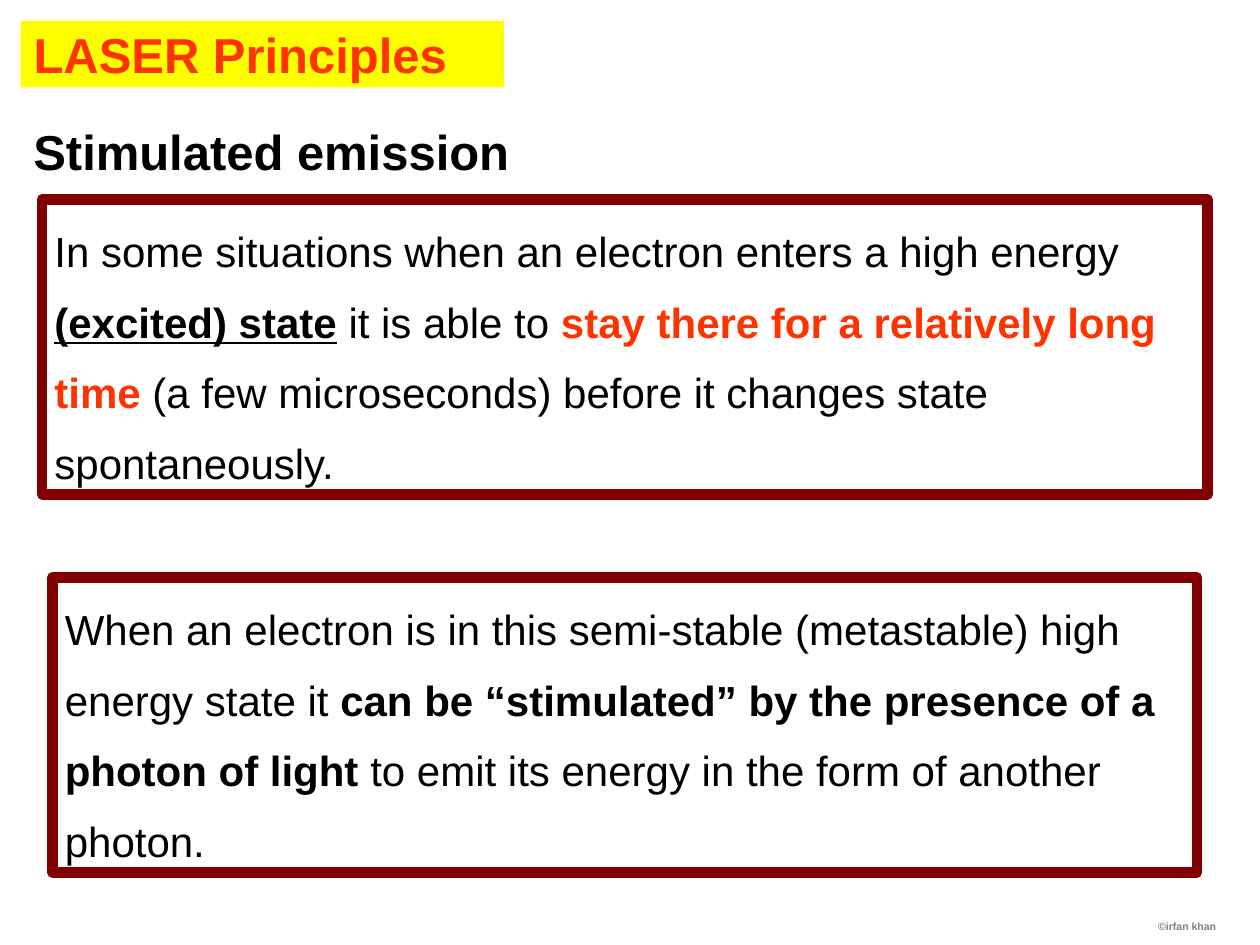
import pptx
import pptx.dml.color
import pptx.enum.shapes
import pptx.enum.text
import pptx.util

Pt = pptx.util.Pt
Color = pptx.dml.color.RGBColor.from_string
Align = pptx.enum.text.PP_ALIGN
Anchor = pptx.enum.text.MSO_ANCHOR

THEME = {
    "font": "Arial",
    "ink": Color("000000"),
    "accent": Color("FF3300"),
    "highlight": Color("FFFF00"),
    "frame": Color("800000"),
    "muted": Color("808080"),
    "heading_size": Pt(28),
    "body_size": Pt(24),
    "credit_size": Pt(6),
}


def write(shape, runs, size, align=Align.LEFT, anchor=Anchor.TOP, spacing=1.0, wrap=True):
    """Fill the shape with one paragraph made of (text, font overrides) runs."""
    frame = shape.text_frame
    layout = {"auto_size": pptx.enum.text.MSO_AUTO_SIZE.NONE,
              "word_wrap": wrap, "vertical_anchor": anchor}
    for name, value in layout.items():
        setattr(frame, name, value)
    paragraph = frame.paragraphs[0]
    paragraph.alignment = align
    paragraph.line_spacing = spacing
    for text, overrides in runs:
        run = paragraph.add_run()
        run.text = text
        style = {"name": THEME["font"], "size": size, "bold": False,
                 "color": THEME["ink"], **overrides}
        run.font.color.rgb = style.pop("color")
        for name, value in style.items():
            setattr(run.font, name, value)


deck = pptx.Presentation()
deck.slide_width, deck.slide_height = Pt(720), Pt(540)
slide = deck.slides.add_slide(deck.slide_layouts.get_by_name("Title Only"))

title = slide.shapes.title
bounds = {"left": Pt(12), "top": Pt(12), "width": Pt(276), "height": Pt(38)}
for name, value in bounds.items():
    setattr(title, name, value)
title.fill.solid()
title.fill.fore_color.rgb = THEME["highlight"]
write(title, [("LASER Principles", {"bold": True, "color": THEME["accent"]})],
      THEME["heading_size"], anchor=Anchor.MIDDLE)

subtitle = slide.shapes.add_textbox(Pt(12), Pt(66), Pt(286), Pt(41))
write(subtitle, [("Stimulated emission", {"bold": True})],
      THEME["heading_size"], wrap=False)

explanations = [
    (24, 114, 666, [
        ("In some situations when an electron enters a high energy ", {}),
        ("(excited) state", {"bold": True, "underline": True}),
        (" it is able to ", {}),
        ("stay there for a relatively long time", {"bold": True, "color": THEME["accent"]}),
        (" (a few microseconds) before it changes state spontaneously.", {}),
    ]),
    (30, 330, 654, [
        ("When an electron is in this semi-stable (metastable) high energy state it ", {}),
        ("can be “stimulated” by the presence of a photon of light", {"bold": True}),
        (" to emit its energy in the form of another photon.", {}),
    ]),
]
for left, top, width, runs in explanations:
    panel = slide.shapes.add_shape(pptx.enum.shapes.MSO_SHAPE.RECTANGLE,
                                   Pt(left), Pt(top), Pt(width), Pt(168.5))
    panel.shadow.inherit = False
    panel.fill.background()
    panel.line.color.rgb = THEME["frame"]
    panel.line.width = Pt(6)
    write(panel, runs, THEME["body_size"], spacing=1.4)

credit = slide.shapes.add_textbox(Pt(474), Pt(522), Pt(228), Pt(14))
write(credit, [("©irfan khan", {"bold": True, "color": THEME["muted"]})],
      THEME["credit_size"], align=Align.RIGHT)

deck.save("out.pptx")
